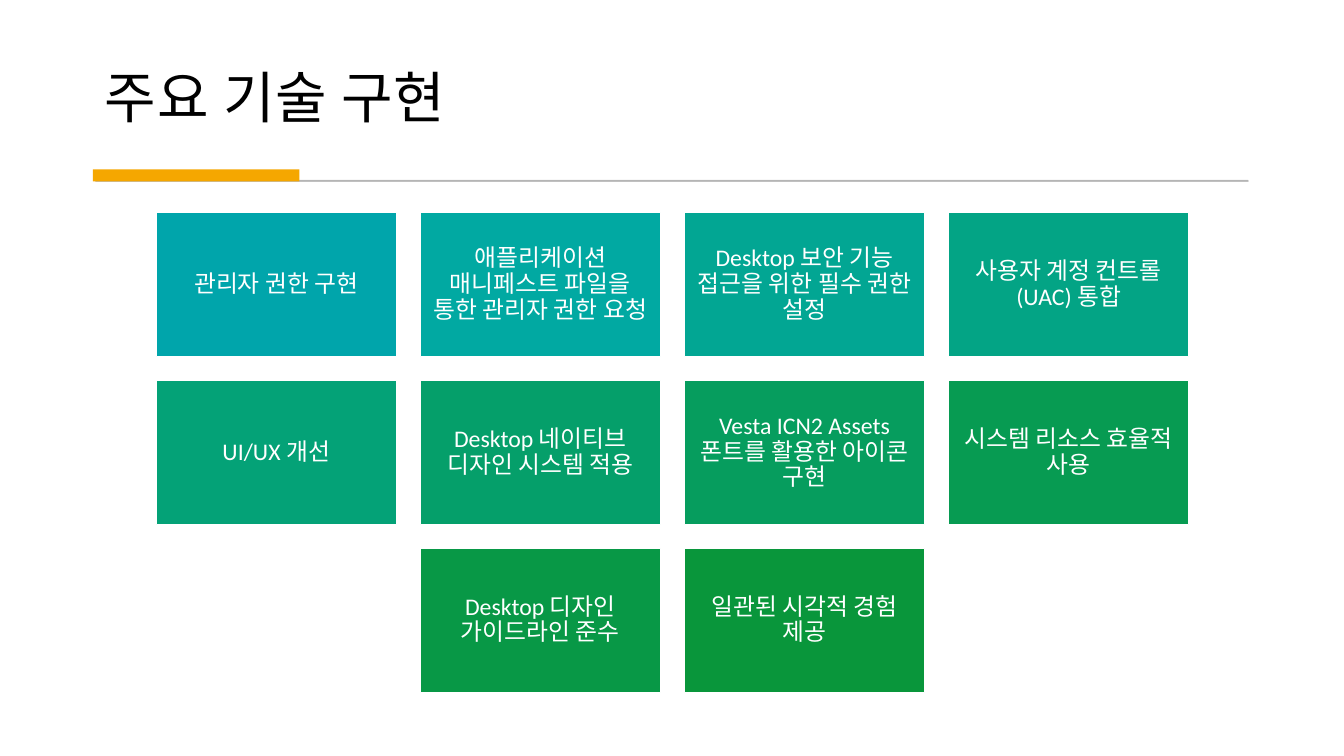
from dataclasses import dataclass

from lxml import etree
from pptx import Presentation
from pptx.dml.color import RGBColor
from pptx.enum.shapes import MSO_SHAPE
from pptx.enum.text import MSO_ANCHOR, PP_ALIGN
from pptx.oxml.ns import qn
from pptx.shapes.autoshape import Shape
from pptx.slide import Slide
from pptx.util import Inches, Pt

RECTANGLE = MSO_SHAPE.RECTANGLE
MIDDLE, BOTTOM = MSO_ANCHOR.MIDDLE, MSO_ANCHOR.BOTTOM
LEFT, CENTER = PP_ALIGN.LEFT, PP_ALIGN.CENTER

LATIN_FONT = "Calibri"
KOREAN_FONT = "Noto Sans CJK KR"
COLORS = {
    "white": "FFFFFF",
    "title": "000000",
    "divider": "595959",
    "accent": "F5A700",
    "tile 1": "00A5AB",
    "tile 2": "01A9A2",
    "tile 3": "02A693",
    "tile 4": "03A485",
    "tile 5": "04A277",
    "tile 6": "059F6A",
    "tile 7": "069D5E",
    "tile 8": "079B52",
    "tile 9": "089846",
    "tile 10": "09963B",
}

TILE_WIDTH, TILE_HEIGHT = 2.38, 1.43
TILE_STEP_X, TILE_STEP_Y = 2.62, 1.665
TILES_TOP, TILES_CENTER = 2.11, 6.67
TILE_ROWS = [
    [
        "관리자 권한 구현",
        "애플리케이션 매니페스트 파일을 통한 관리자 권한 요청",
        "Desktop 보안 기능 접근을 위한 필수 권한 설정",
        "사용자 계정 컨트롤(UAC) 통합",
    ],
    [
        "UI/UX 개선",
        "Desktop 네이티브 디자인 시스템 적용",
        "Vesta ICN2 Assets 폰트를 활용한 아이콘 구현",
        "시스템 리소스 효율적 사용",
    ],
    ["Desktop 디자인 가이드라인 준수", "일관된 시각적 경험 제공"],
]


@dataclass(frozen=True)
class Area:
    left: float
    top: float
    width: float
    height: float


@dataclass(frozen=True)
class TextStyle:
    font: str
    size: float
    color: str
    align: PP_ALIGN
    anchor: MSO_ANCHOR
    line_spacing: float
    inset: float
    tracking: float = 0


@dataclass(frozen=True)
class Tile:
    area: Area
    color: str
    text: str


TITLE_STYLE = TextStyle(KOREAN_FONT, 40, "title", LEFT, BOTTOM, 1.05, 0.12, 0.7)
TILE_STYLE = TextStyle(LATIN_FONT, 17, "white", CENTER, MIDDLE, 0.9, 0.07)


def rgb(color: str) -> RGBColor:
    return RGBColor.from_string(COLORS[color])


def lengths(area: Area) -> list[int]:
    return [Inches(value) for value in (area.left, area.top, area.width, area.height)]


def write_text(shape: Shape, text: str, style: TextStyle) -> None:
    frame = shape.text_frame
    frame.word_wrap = True
    frame.vertical_anchor = style.anchor
    frame.margin_left = frame.margin_right = Inches(style.inset)
    frame.margin_top = frame.margin_bottom = Inches(style.inset)
    para = frame.paragraphs[0]
    para.alignment = style.align
    para.line_spacing = style.line_spacing
    span = para.add_run()
    span.text = text
    span.font.name = style.font
    span.font.size = Pt(style.size)
    span.font.color.rgb = rgb(style.color)
    properties = span.font._element
    properties.set("spc", str(round(style.tracking * 100)))
    latin = properties.find(qn("a:latin"))
    east_asian = etree.Element(qn("a:ea"), typeface=KOREAN_FONT)
    latin.addnext(east_asian)


def add_rectangle(page: Slide, area: Area, color: str) -> Shape:
    box = page.shapes.add_shape(RECTANGLE, *lengths(area))
    box.shadow.inherit = False
    box.fill.solid()
    box.fill.fore_color.rgb = rgb(color)
    box.line.fill.background()
    return box


def outline(box: Shape, color: str, width: float) -> None:
    box.line.color.rgb = rgb(color)
    box.line.width = Pt(width)


def set_opacity(box: Shape, percent: int) -> None:
    """Make both the fill and the outline of the box see-through."""
    for color in box.element.spPr.iter(qn("a:srgbClr")):
        etree.SubElement(color, qn("a:alpha"), val=str(percent * 1000))


def add_header(page: Slide) -> None:
    title = page.shapes.add_textbox(*lengths(Area(0.92, 0.28, 11.49, 1.11)))
    write_text(title, "주요 기술 구현", TITLE_STYLE)
    title.text_frame.margin_bottom = Inches(0.1)

    divider = add_rectangle(page, Area(0.95, 1.79, 11.43, 0.01), "divider")
    outline(divider, "divider", 0.75)
    set_opacity(divider, 30)
    add_rectangle(page, Area(0.92, 1.68, 2.05, 0.12), "accent")


def lay_out_tiles() -> list[Tile]:
    """Centre each row of tiles and number the colours in reading order."""
    tiles = []
    for row, texts in enumerate(TILE_ROWS):
        row_width = (len(texts) - 1) * TILE_STEP_X + TILE_WIDTH
        row_left = TILES_CENTER - row_width / 2
        top = TILES_TOP + row * TILE_STEP_Y
        for column, text in enumerate(texts):
            left = row_left + column * TILE_STEP_X
            area = Area(left, top, TILE_WIDTH, TILE_HEIGHT)
            tiles.append(Tile(area, f"tile {len(tiles) + 1}", text))
    return tiles


def add_tile(page: Slide, tile: Tile) -> None:
    box = add_rectangle(page, tile.area, tile.color)
    outline(box, "white", 1)
    write_text(box, tile.text, TILE_STYLE)


def main() -> None:
    deck = Presentation()
    deck.slide_width, deck.slide_height = Inches(13.33), Inches(7.5)
    page = deck.slides.add_slide(deck.slide_layouts[6])
    page.background.fill.solid()
    page.background.fill.fore_color.rgb = rgb("white")
    add_header(page)
    for tile in lay_out_tiles():
        add_tile(page, tile)
    deck.save("out.pptx")


if __name__ == "__main__":
    main()
